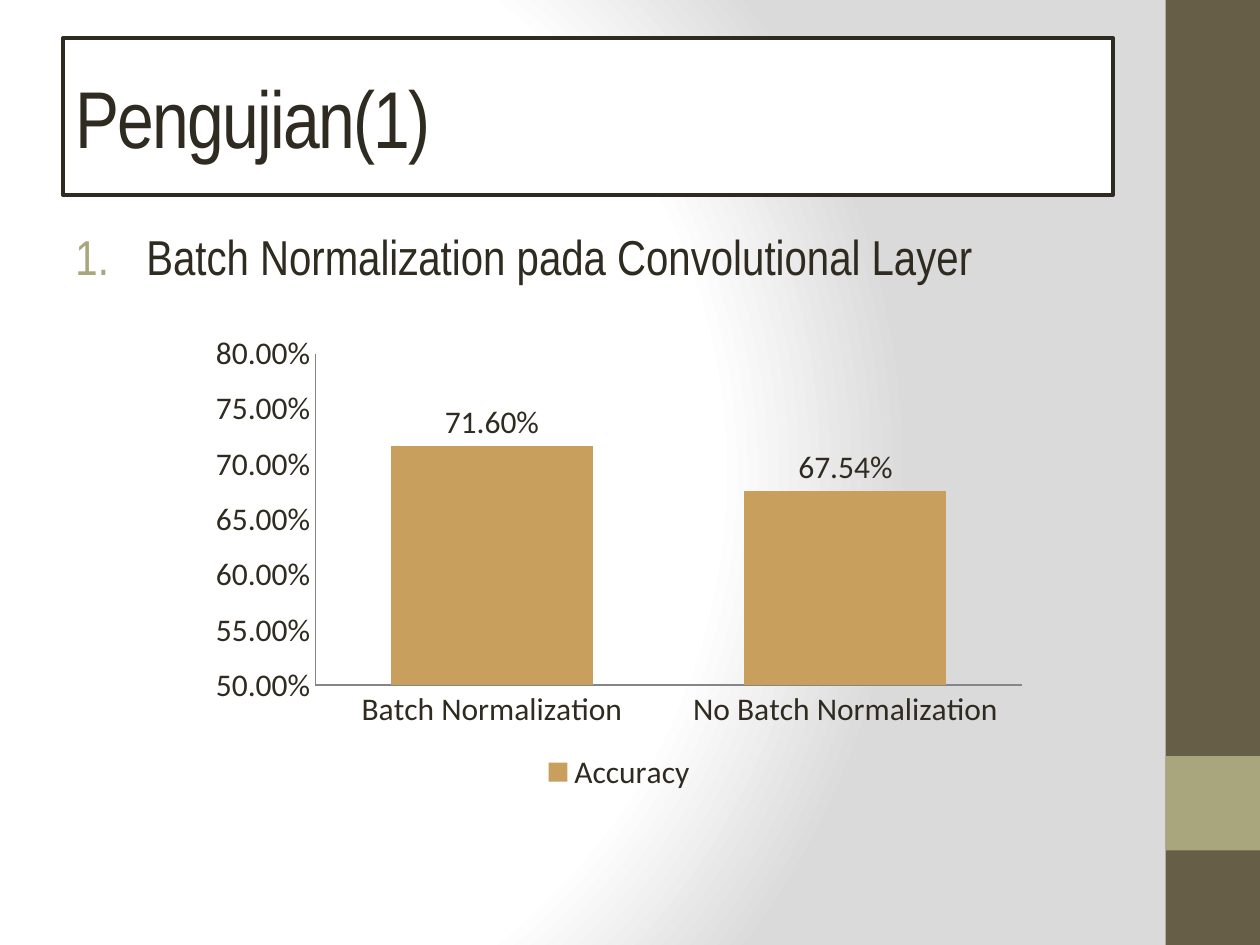
from dataclasses import dataclass

from lxml.etree import SubElement
from pptx import Presentation
from pptx.chart.data import CategoryChartData
from pptx.dml.color import RGBColor
from pptx.enum.chart import XL_CHART_TYPE, XL_LABEL_POSITION, XL_LEGEND_POSITION, XL_TICK_MARK
from pptx.enum.shapes import MSO_SHAPE
from pptx.enum.text import MSO_ANCHOR, PP_ALIGN
from pptx.oxml import parse_xml
from pptx.oxml.ns import nsdecls, qn
from pptx.util import Pt

TITLE = "Pengujian(1)"
NUMBERED_ITEM = "Batch Normalization pada Convolutional Layer"
SERIES_NAME = "Accuracy"
ACCURACY = {"Batch Normalization": 0.716, "No Batch Normalization": 0.6754}
PERCENT = "0.00%"


@dataclass(frozen=True)
class Theme:
    ink: str = "2F2B20"
    paper: str = "FFFFFF"
    shade: str = "DADADA"
    band: str = "675E47"
    accent: str = "A9A57C"
    column: str = "C89F5D"
    axis: str = "868686"
    text_font: str = "Arial Narrow"
    chart_font: str = "Calibri"
    title_size: float = 46
    body_size: float = 28
    chart_size: float = 18


THEME = Theme()

# left, top, width, height in points
PAGE_WIDTH, PAGE_HEIGHT = 720, 540
BAND_WIDTH = 54
BAND_LEFT = PAGE_WIDTH - BAND_WIDTH
BAND = (BAND_LEFT, 0, BAND_WIDTH, PAGE_HEIGHT)
BAND_ACCENT = (BAND_LEFT, PAGE_HEIGHT - 2 * BAND_WIDTH, BAND_WIDTH, BAND_WIDTH)
TITLE_AREA = (36, 21.6, 600, 90)
BODY_AREA = (36, 126, 600, 378)
CHART_AREA = (113.76, 185.76, 480, 270)
NUMBER_INDENT = 40.5


def points(area):
    return [Pt(length) for length in area]


def set_all(target, values):
    for name, value in values.items():
        setattr(target, name, value)


def style_font(font, name, size):
    set_all(font, {"name": name, "size": Pt(size)})
    font.color.rgb = RGBColor.from_string(THEME.ink)


def paint_background(page):
    """Fill the page with a radial gradient, which has no public method."""
    stops = "".join(
        f'<a:gs pos="{percent * 1000}"><a:srgbClr val="{color}"/></a:gs>'
        for percent, color in ((0, THEME.paper), (75, THEME.paper), (100, THEME.shade))
    )
    background = parse_xml(
        f'<p:bg {nsdecls("p", "a")}><p:bgPr><a:gradFill rotWithShape="1">'
        f'<a:gsLst>{stops}</a:gsLst><a:path path="circle">'
        '<a:fillToRect l="20000" t="50000" r="100000" b="50000"/></a:path>'
        "</a:gradFill><a:effectLst/></p:bgPr></p:bg>"
    )
    page.element.cSld.insert(0, background)


def add_rectangle(page, area, fill):
    box = page.shapes.add_shape(MSO_SHAPE.RECTANGLE, *points(area))
    box.shadow.inherit = False
    box.fill.solid()
    box.fill.fore_color.rgb = RGBColor.from_string(fill)
    box.line.fill.background()
    return box


def write(box, text, size, anchor):
    set_all(box.text_frame, {"word_wrap": True, "vertical_anchor": anchor})
    para = box.text_frame.paragraphs[0]
    para.alignment = PP_ALIGN.LEFT
    span = para.add_run()
    span.text = text
    style_font(span.font, THEME.text_font, size)
    return para, span


def add_title(page):
    box = add_rectangle(page, TITLE_AREA, THEME.paper)
    box.line.color.rgb = RGBColor.from_string(THEME.ink)
    box.line.width = Pt(2)
    _, span = write(box, TITLE, THEME.title_size, MSO_ANCHOR.MIDDLE)
    span.font._element.set("spc", "-100")


def add_numbered_item(page):
    box = page.shapes.add_textbox(*points(BODY_AREA))
    para, _ = write(box, NUMBERED_ITEM, THEME.body_size, MSO_ANCHOR.TOP)
    para.space_before = Pt(0.2 * THEME.body_size)
    properties = para._p.get_or_add_pPr()
    properties.set("marL", str(Pt(NUMBER_INDENT)))
    properties.set("indent", str(-Pt(NUMBER_INDENT)))
    bullet_color = SubElement(properties, qn("a:buClr"))
    SubElement(bullet_color, qn("a:srgbClr"), val=THEME.accent)
    SubElement(properties, qn("a:buFont"), typeface=THEME.text_font)
    SubElement(properties, qn("a:buAutoNum"), type="arabicPeriod")


def add_accuracy_chart(page):
    data = CategoryChartData(number_format=PERCENT)
    data.categories = list(ACCURACY)
    data.add_series(SERIES_NAME, list(ACCURACY.values()))
    chart = page.shapes.add_chart(
        XL_CHART_TYPE.COLUMN_CLUSTERED, *points(CHART_AREA), data
    ).chart
    set_all(chart, {"has_title": False, "has_legend": True})
    style_font(chart.font, THEME.chart_font, THEME.chart_size)
    set_all(chart.legend, {"position": XL_LEGEND_POSITION.BOTTOM, "include_in_layout": False})

    for axis in (chart.category_axis, chart.value_axis):
        set_all(axis, {
            "major_tick_mark": XL_TICK_MARK.NONE,
            "minor_tick_mark": XL_TICK_MARK.NONE,
            "has_major_gridlines": False,
        })
        axis.format.line.color.rgb = RGBColor.from_string(THEME.axis)
    set_all(chart.value_axis, {"minimum_scale": 0.5, "maximum_scale": 0.8, "major_unit": 0.05})

    plot = chart.plots[0]
    set_all(plot, {"gap_width": 75, "vary_by_categories": False, "has_data_labels": True})
    set_all(plot.data_labels, {"show_value": True, "position": XL_LABEL_POSITION.OUTSIDE_END})
    for labels in (chart.value_axis.tick_labels, plot.data_labels):
        set_all(labels, {"number_format": PERCENT, "number_format_is_linked": False})
    column_fill = plot.series[0].format.fill
    column_fill.solid()
    column_fill.fore_color.rgb = RGBColor.from_string(THEME.column)


def main():
    deck = Presentation()
    set_all(deck, {"slide_width": Pt(PAGE_WIDTH), "slide_height": Pt(PAGE_HEIGHT)})
    page = deck.slides.add_slide(deck.slide_layouts[6])
    paint_background(page)
    add_rectangle(page, BAND, THEME.band)
    add_rectangle(page, BAND_ACCENT, THEME.accent)
    add_title(page)
    add_numbered_item(page)
    add_accuracy_chart(page)
    deck.save("out.pptx")


if __name__ == "__main__":
    main()
